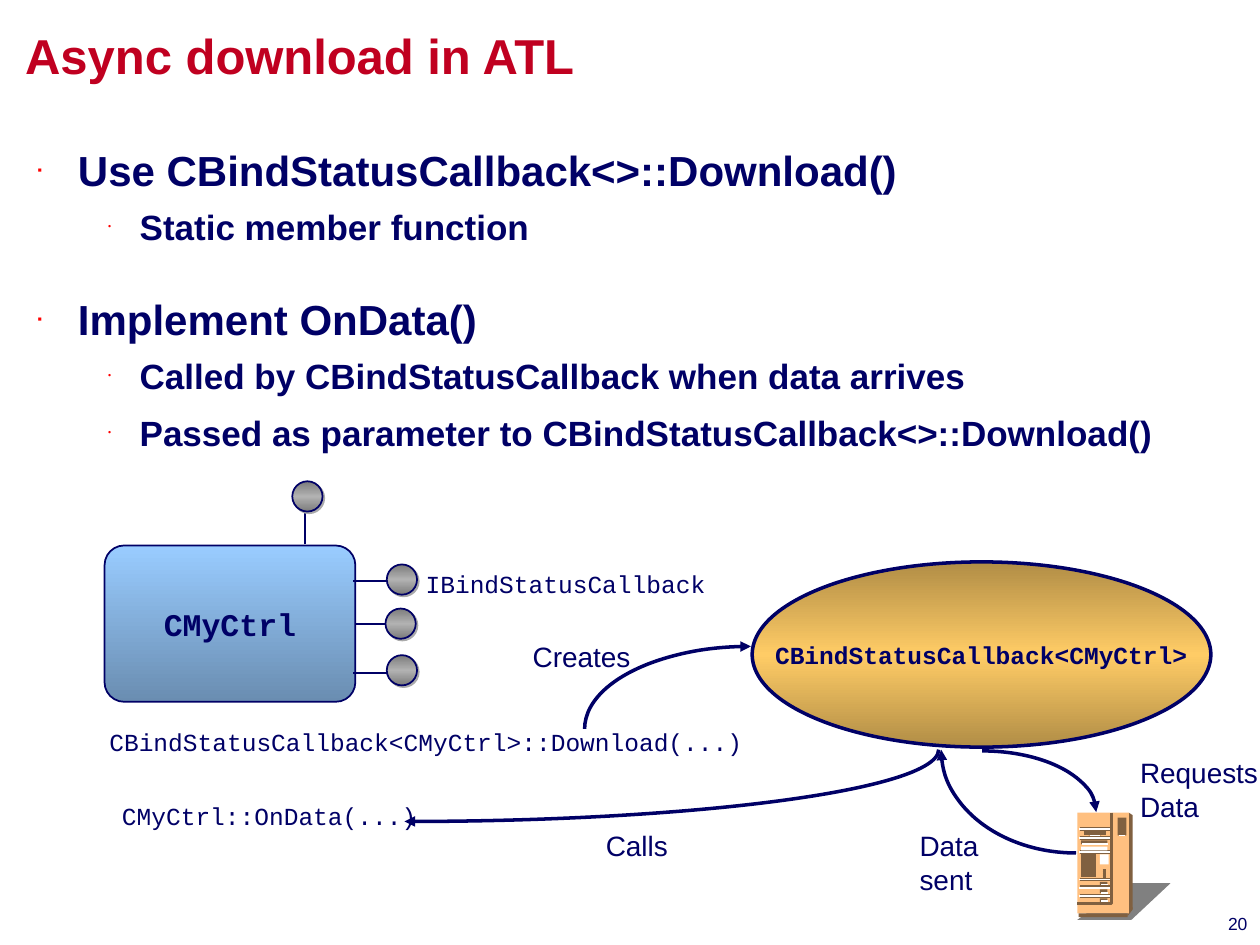
from dataclasses import dataclass

from lxml import etree
from pptx import Presentation
from pptx.dml.color import RGBColor
from pptx.enum.shapes import MSO_CONNECTOR, MSO_SHAPE
from pptx.enum.text import MSO_ANCHOR, MSO_AUTO_SIZE, PP_ALIGN
from pptx.oxml.ns import qn
from pptx.util import Inches, Pt

STRAIGHT = MSO_CONNECTOR.STRAIGHT
ARC, OVAL = MSO_SHAPE.ARC, MSO_SHAPE.OVAL
RECTANGLE, ROUNDED = MSO_SHAPE.RECTANGLE, MSO_SHAPE.ROUNDED_RECTANGLE
LEFT, CENTER, RIGHT = PP_ALIGN.LEFT, PP_ALIGN.CENTER, PP_ALIGN.RIGHT
MIDDLE = MSO_ANCHOR.MIDDLE
GROW = MSO_AUTO_SIZE.SHAPE_TO_FIT_TEXT
RIGHT_SIDE = 3


@dataclass(frozen=True)
class Theme:
    navy: str = "000066"
    title_red: str = "C00020"
    bullet_red: str = "FF0000"
    blue: tuple = ("99CCFF", "6A8DB1")
    gold: tuple = ("B18D46", "FFCC66", "B18D46")
    steel: tuple = ("7B7B7B", "B2B2B2", "7B7B7B")
    ball_shadow: str = "AAAAAA"
    server_shadow: str = "808080"
    brown: str = "806040"
    tan: str = "FFC080"
    white: str = "FFFFFF"
    sans: str = "Arial"
    mono: str = "Courier New"
    title_size: int = 28
    topic_size: int = 24
    detail_size: int = 20
    control_size: int = 18
    label_size: int = 16
    code_size: int = 14
    number_size: int = 10


THEME = Theme()
INSETS = (0.1, 0.05, 0.1, 0.05)
POINTS = (
    (0, "Use CBindStatusCallback<>::Download()"),
    (1, "Static member function"),
    (0, "Implement OnData()"),
    (1, "Called by CBindStatusCallback when data arrives"),
    (1, "Passed as parameter to CBindStatusCallback<>::Download()"),
)


def rgb(value):
    return RGBColor.from_string(value)


def inches(values):
    return [Inches(value) for value in values]


def add_xml(parent, tag, **attributes):
    child = etree.SubElement(parent, qn(tag))
    for name, value in attributes.items():
        child.set(name, str(value))
    return child


def style_runs(paragraph, size, font, color, bold=False):
    for run in paragraph.runs:
        run.font.size = Pt(size)
        run.font.name = font
        run.font.bold = bold
        run.font.color.rgb = rgb(color)


def write(shape, text, size, font, color=THEME.navy, bold=False,
          align=LEFT, insets=INSETS, wrap=False):
    frame = shape.text_frame
    frame.margin_left, frame.margin_top, frame.margin_right, frame.margin_bottom = inches(insets)
    frame.word_wrap = wrap
    frame.text = text
    for paragraph in frame.paragraphs:
        paragraph.alignment = align
        style_runs(paragraph, size, font, color, bold)


def add_text(shapes, box, text, size, font, **options):
    holder = shapes.add_textbox(*inches(box))
    write(holder, text, size, font, **options)
    return holder


def add_label(shapes, box, text, size, font):
    add_text(shapes, box, text, size, font).text_frame.auto_size = GROW


def add_bullet(paragraph, char, percent, margin, hanging):
    properties = paragraph._p.get_or_add_pPr()
    properties.set("marL", str(Inches(margin)))
    properties.set("indent", str(-Inches(hanging)))
    add_xml(add_xml(properties, "a:buClr"), "a:srgbClr", val=THEME.bullet_red)
    add_xml(properties, "a:buSzPct", val=percent * 1000)
    add_xml(properties, "a:buFont", typeface=THEME.sans)
    add_xml(properties, "a:buChar", char=char)


def add_points(shapes):
    body = add_text(shapes, (0.2, 1.02, 9.52, 6.33), "\n".join(text for _, text in POINTS),
                    THEME.topic_size, THEME.sans, bold=True, wrap=True)
    for index, (paragraph, (level, _)) in enumerate(zip(body.text_frame.paragraphs, POINTS)):
        paragraph.level = level
        if level:
            paragraph.line_spacing = 1.1
            paragraph.space_before, paragraph.space_after = Pt(3.7), Pt(2.5)
            add_bullet(paragraph, "•", 25, 0.81, 0.25)
            style_runs(paragraph, THEME.detail_size, THEME.sans, THEME.navy, True)
        else:
            paragraph.line_spacing = 1.2
            paragraph.space_before = Pt(18 if index else 0)
            add_bullet(paragraph, "▪", 30, 0.32, 0.32)


def paint_gradient(shape, colors):
    shape.fill.gradient()
    shape.fill.gradient_angle = 270
    stops = shape._element.spPr.find(qn("a:gradFill")).find(qn("a:gsLst"))
    for stop in list(stops):
        stops.remove(stop)
    for index, color in enumerate(colors):
        stop = add_xml(stops, "a:gs", pos=100000 * index // (len(colors) - 1))
        add_xml(stop, "a:srgbClr", val=color)


def add_node(shapes, preset, box, colors, width):
    node = shapes.add_shape(preset, *inches(box))
    node.shadow.inherit = False
    paint_gradient(node, colors)
    node.line.color.rgb = rgb(THEME.navy)
    node.line.width = Pt(width)
    node.text_frame.vertical_anchor = MIDDLE
    return node


def add_line(shapes, start, end, color=THEME.navy, width=1):
    line = shapes.add_connector(STRAIGHT, *inches((*start, *end)))
    line.line.color.rgb = rgb(color)
    line.line.width = Pt(width)
    add_xml(line._element.spPr, "a:effectLst")
    return line


def add_ball(shapes, left, top):
    ball = add_node(shapes, OVAL, (left, top, 0.24, 0.24), THEME.steel, 1)
    effects = ball._element.spPr.find(qn("a:effectLst"))
    shadow = add_xml(effects, "a:outerShdw", dist=Pt(1.4), dir=45 * 60000)
    add_xml(shadow, "a:srgbClr", val=THEME.ball_shadow)


def add_arc(shapes, box, start_angle):
    arc = shapes.add_shape(ARC, *inches(box))
    arc.shadow.inherit = False
    arc.adjustments[0] = start_angle * 0.6
    arc.adjustments[1] = (start_angle + 90) % 360 * 0.6
    arc.fill.background()
    arc.line.color.rgb = rgb(THEME.navy)
    arc.line.width = Pt(2)
    add_xml(arc.line._get_or_add_ln(), "a:tailEnd", type="triangle")


def fill_plain(shape, color):
    shape.shadow.inherit = False
    shape.fill.solid()
    shape.fill.fore_color.rgb = rgb(color)
    shape.line.fill.background()


def add_outline(shapes, points, close):
    corners = [inches(point) for point in points]
    builder = shapes.build_freeform(*corners[0], scale=1.0)
    builder.add_line_segments(corners[1:], close=close)
    return builder.convert_to_shape()


def add_server(shapes):
    server = shapes.add_group_shape().shapes
    for color, points in (
        (THEME.server_shadow, ((8.97, 7.01), (9.29, 7.01), (8.98, 7.3), (8.55, 7.3))),
        (THEME.brown, ((8.95, 7.24), (8.99, 7.2), (8.99, 7.22), (8.95, 7.27))),
        (THEME.brown, ((8.96, 6.45), (8.99, 6.47), (8.99, 7.21), (8.96, 7.24))),
    ):
        fill_plain(add_outline(server, points, True), color)
    fill_plain(server.add_shape(RECTANGLE, *inches((8.55, 6.45, 0.41, 0.8))), THEME.tan)
    frame = add_outline(server, ((8.82, 6.45), (8.82, 7.17), (8.55, 7.17)), False)
    frame.shadow.inherit = False
    frame.fill.background()
    frame.line.color.rgb = rgb(THEME.brown)
    frame.line.width = Pt(2)

    grooves = [(8.57, 8.81, y) for y in (7.11, 7.04, 6.98, 6.76, 6.65, 6.58)]
    slots = [(8.75, 8.78, 6.91 + 0.05 * row / 3) for row in range(4)]
    vents = [(8.58, 8.7, 6.79 + 0.16 * row / 10) for row in range(11)]
    for left, right, y in grooves + slots + vents + [(8.6, 8.78, 6.61)]:
        add_line(server, (left, y), (right, y), THEME.brown, 2)

    dark = [(8.64, 6.6, 0.1, 0.03), (8.58, 6.67, 0.21, 0.03), (8.87, 6.49, 0.07, 0.14),
            (8.56, 7.25, 0.39, 0.03), *((8.73, y, 0.06, 0.03) for y in (7, 7.06, 7.13))]
    light = [(8.58, 6.72, 0.21, 0.03), (8.73, 6.78, 0.07, 0.08)]
    for color, panels in ((THEME.brown, dark), (THEME.white, light)):
        for box in panels:
            fill_plain(server.add_shape(RECTANGLE, *inches(box)), color)

    highlights = [(8.56, 8.81, y) for y in (6.58, 6.65, 6.76, 6.98, 7.05, 7.11)]
    highlights += [(8.74, 8.79, y) for y in (7.02, 7.09, 7.15)]
    highlights += [(8.59, 8.79, 6.7), (8.65, 8.73, 6.63), (8.88, 8.93, 6.63)]
    for left, right, y in highlights:
        add_line(server, (left, y), (right, y), THEME.white)


def add_control(shapes):
    control = add_node(shapes, ROUNDED, (0.83, 4.33, 1.99, 1.24), THEME.blue, 1)
    control.adjustments[0] = 0.125
    write(control, "CMyCtrl", THEME.control_size, THEME.mono, bold=True, align=CENTER)
    add_line(shapes, (2.42, 4.32), (2.42, 3.91))
    add_ball(shapes, 2.32, 3.82)
    for y, left, top in ((4.61, 3.07, 4.48), (4.95, 3.06, 4.83), (5.34, 3.07, 5.2)):
        stem = add_line(shapes, (3.23, y), (2.8, y))
        if y == 4.95:
            stem.end_connect(control, RIGHT_SIDE)
        add_ball(shapes, left, top)


def main():
    deck = Presentation()
    deck.slide_width, deck.slide_height = Inches(10), Inches(7.5)
    shapes = deck.slides.add_slide(deck.slide_layouts[6]).shapes
    add_text(shapes, (6.4, 7.2, 3.5, 0.17), "20", THEME.number_size, THEME.sans,
             align=RIGHT, insets=(0, 0.05, 0, 0.05), wrap=True)
    add_text(shapes, (0, 0, 10, 1), "Async download in ATL", THEME.title_size, THEME.sans,
             color=THEME.title_red, bold=True, insets=(0.2, 0.2, 1.97, 0.14), wrap=True)
    add_points(shapes)
    add_control(shapes)
    callback = add_node(shapes, OVAL, (5.97, 4.46, 3.64, 1.47), THEME.gold, 2)
    write(callback, "CBindStatusCallback<CMyCtrl>", THEME.code_size, THEME.mono,
          bold=True, align=CENTER)
    add_server(shapes)
    for box, start_angle in (
        ((4.64, 5.13, 2.64, 1.31), 180),
        ((6.89, 5.96, 1.81, 0.97), 270),
        ((7.47, 5.13, 2.14, 1.64), 90),
        ((-1.03, 5.38, 8.48, 1.14), 0),
    ):
        add_arc(shapes, box, start_angle)
    for box, text in (
        ((0.77, 5.72, 5.23, 0.33), "CBindStatusCallback<CMyCtrl>::Download(...)"),
        ((3.28, 4.47, 2.42, 0.33), "IBindStatusCallback"),
        ((0.87, 6.31, 2.54, 0.33), "CMyCtrl::OnData(...)"),
    ):
        add_label(shapes, box, text, THEME.code_size, THEME.mono)
    for box, text in (
        ((4.13, 5.03, 1, 0.36), "Creates"),
        ((8.95, 5.95, 1.14, 0.63), "Requests\nData"),
        ((7.2, 6.53, 0.67, 0.63), "Data\nsent"),
        ((4.71, 6.53, 0.69, 0.36), "Calls"),
    ):
        add_label(shapes, box, text, THEME.label_size, THEME.sans)
    deck.save("out.pptx")


if __name__ == "__main__":
    main()
